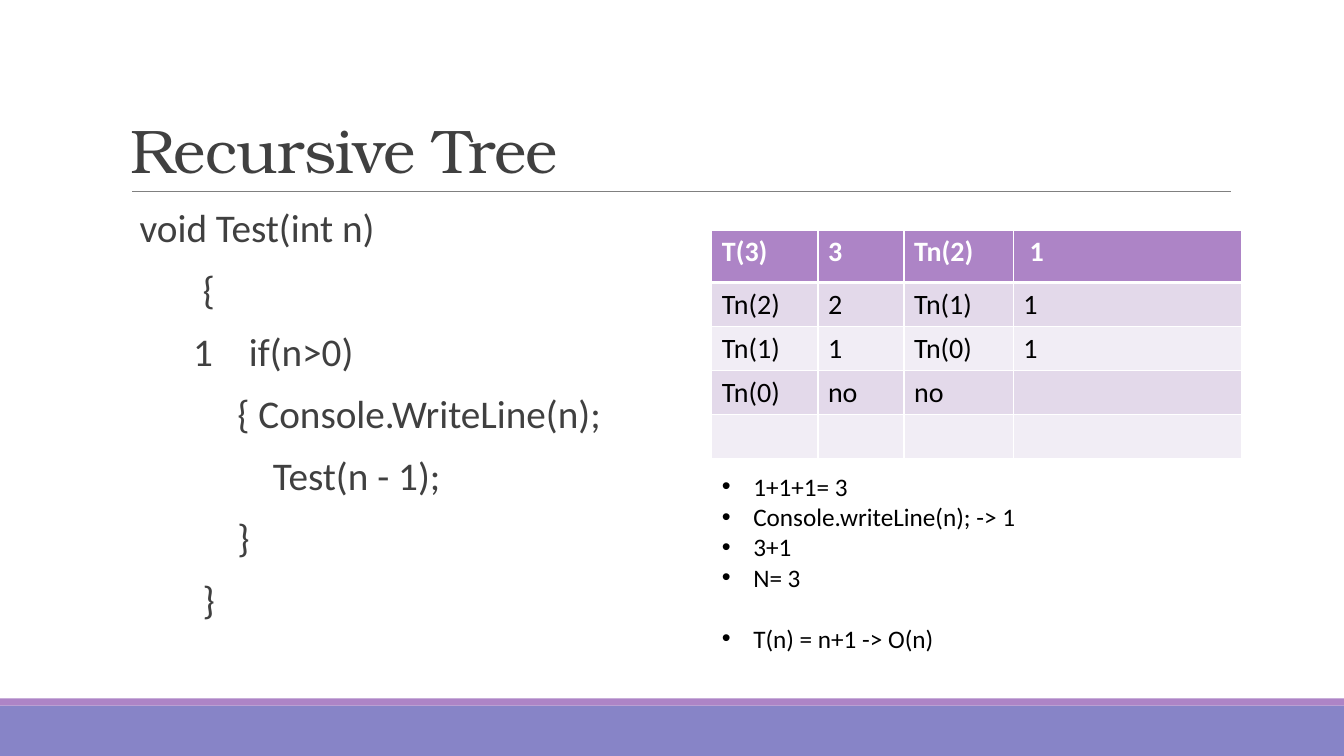
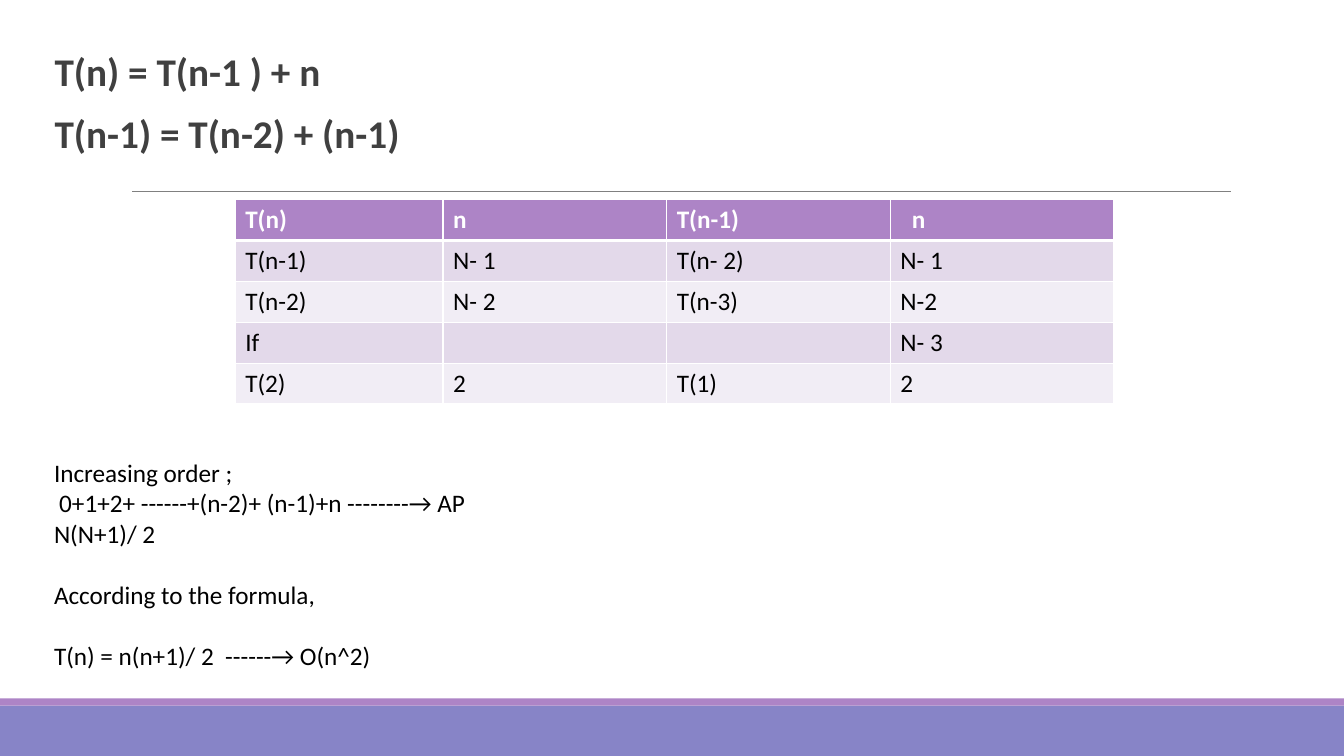
from lxml import etree
from pptx import Presentation
from pptx.dml.color import RGBColor
from pptx.enum.shapes import MSO_CONNECTOR as CONN, MSO_SHAPE as SHAPE
from pptx.enum.text import MSO_ANCHOR as ANCHOR, MSO_AUTO_SIZE as AUTO, PP_ALIGN as ALIGN
from pptx.oxml.ns import qn
from pptx.util import Emu, Pt

# Shared style
WHITE = RGBColor(0xFF, 0xFF, 0xFF)
BLACK = RGBColor(0, 0, 0)
INK = RGBColor(0x40, 0x40, 0x40)
GRAY = RGBColor(0x80, 0x80, 0x80)
BLUE = RGBColor(0x87, 0x84, 0xC7)
PURPLE = RGBColor(0xAD, 0x84, 0xC6)
ROW_TINTS = RGBColor(0xF1, 0xED, 0xF5), RGBColor(0xE3, 0xD9, 0xEA)
TITLE_FONT, BODY_FONT = "TeX Gyre Bonum", "Calibri"

SLIDE_W, SLIDE_H = 1280, 720
TITLE_ONLY, BLANK = 5, 6
LINE_GAP = 22  # points, one line of 18-point text


def px(n):
    return Emu(n * 9525)


def box(*lengths):
    return [px(n) for n in lengths]


def add_run(p, text, size, color, font=BODY_FONT, bold=False):
    r = p.add_run()
    r.text = text
    r.font.name, r.font.size, r.font.bold = font, Pt(size), bold
    r.font.color.rgb = color
    return r


def set_indent(p, left, hang=0):
    pPr = p._p.get_or_add_pPr()
    pPr.set("marL", str(px(left)))
    pPr.set("indent", str(px(-hang)))
    return pPr


# Bands and rule on every slide
def add_frame(s):
    for top, height, color in ((672, 48, BLUE), (665, 7, PURPLE)):
        band = s.shapes.add_shape(SHAPE.RECTANGLE, *box(0, top, SLIDE_W, height))
        band.shadow.inherit = False
        band.fill.solid()
        band.fill.fore_color.rgb = color
        band.line.fill.background()
    rule = s.shapes.add_connector(CONN.STRAIGHT, *box(126, 182, 1172, 182))
    rule.line.color.rgb = GRAY
    rule.line.width = Pt(0.5)
    etree.SubElement(rule._element.spPr, qn("a:effectLst"))


def add_slide(prs, layout):
    s = prs.slides.add_slide(prs.slide_layouts[layout])
    add_frame(s)
    return s


def set_title(s, text):
    sp = s.shapes.title
    sp.left, sp.top, sp.width, sp.height = box(115, 30, 1056, 152)
    tf = sp.text_frame
    tf.auto_size, tf.vertical_anchor = AUTO.NONE, ANCHOR.BOTTOM
    p = tf.paragraphs[0]
    p.alignment, p.line_spacing = ALIGN.LEFT, 0.85
    r = add_run(p, text, 44, INK, TITLE_FONT)
    r.font._element.set("spc", "-50")


def add_text_box(s, area, lines):
    """Add a text box and yield a paragraph for each line."""
    tf = s.shapes.add_textbox(*box(*area)).text_frame
    tf.word_wrap = True
    for i, line in enumerate(lines):
        yield (p := tf.add_paragraph() if i else tf.paragraphs[0]), line
        if i == 0:
            first = p
    first.alignment = ALIGN.LEFT


def add_body(s, area, lines, bold=False):
    """Large text; each line is (text, left indent, hanging indent)."""
    for p, (text, left, hang) in add_text_box(s, area, lines):
        set_indent(p, left, hang)
        p.line_spacing, p.space_before, p.space_after = 0.9, Pt(12), Pt(2)
        add_run(p, text, 28, INK, bold=bold)
    s.shapes[-1].text_frame.margin_left = s.shapes[-1].text_frame.margin_right = 0


def add_notes(s, area, lines, bulleted=False):
    """Small text; each line is (text, left indent, space before)."""
    for p, (text, left, before) in add_text_box(s, area, lines):
        pPr = set_indent(p, left, left if bulleted else 0)
        if bulleted:
            etree.SubElement(pPr, qn("a:buFont"), typeface="Arial")
            etree.SubElement(pPr, qn("a:buChar"), char="•")
        p.space_before = Pt(before)
        add_run(p, text, 18, BLACK)


def set_borders(cell, row):
    tcPr = cell._tc.get_or_add_tcPr()
    thick = {(0, "B"), (1, "T")}  # the line under the header
    for side in "LRTB":
        width = Pt(3 if (row, side) in thick else 1)
        ln = etree.SubElement(tcPr, qn(f"a:ln{side}"), w=str(width))
        fill = etree.SubElement(ln, qn("a:solidFill"))
        etree.SubElement(fill, qn("a:srgbClr"), val=str(WHITE))


def add_table(s, left, top, widths, heights, rows, size, last_head_indent):
    area = box(left, top, sum(widths), sum(heights))
    table = s.shapes.add_table(len(rows), len(widths), *area).table
    for col, width in zip(table.columns, widths):
        col.width = px(width)
    for i, (row, height) in enumerate(zip(rows, heights)):
        table.rows[i].height = px(height)
        for j, text in enumerate(row):
            cell = table.cell(i, j)
            set_borders(cell, i)
            cell.fill.solid()
            cell.fill.fore_color.rgb = ROW_TINTS[i % 2] if i else PURPLE
            if text:
                p = cell.text_frame.paragraphs[0]
                add_run(p, text, size, BLACK if i else WHITE, bold=i == 0)
    set_indent(table.cell(0, len(widths) - 1).text_frame.paragraphs[0], last_head_indent)


def build_recursive_tree(prs):
    s = add_slide(prs, TITLE_ONLY)
    set_title(s, "Recursive Tree")
    add_body(s, (115, 194, 540, 422), [
        ("void Test(int n)", 18, 0),
        ("{", 78, 0),
        ("1\tif(n>0)", 122, 53),
        ("{ Console.WriteLine(n);", 111, 0),
        ("Test(n - 1);", 145, 0),
        ("}", 111, 0),
        ("}", 78, 0),
    ])
    add_table(s, 678, 219, [101, 82, 104, 218], [50] + [42] * 4, [
        ("T(3)", "3", "Tn(2)", "1"),
        ("Tn(2)", "2", "Tn(1)", "1"),
        ("Tn(1)", "1", "Tn(0)", "1"),
        ("Tn(0)", "no", "no", ""),
        ("", "", "", ""),
    ], size=20, last_head_indent=6)
    add_notes(s, (678, 444, 302, 184), [
        ("1+1+1= 3", 30, 0),
        ("Console.writeLine(n); -> 1", 30, 0),
        ("3+1", 30, 0),
        ("N= 3", 30, 0),
        ("T(n) = n+1 -> O(n)", 30, LINE_GAP),
    ], bulleted=True)


def build_recurrence(prs):
    s = add_slide(prs, BLANK)
    add_body(s, (42, 45, 1129, 130), [
        ("T(n) = T(n-1 ) + n", 10, 0),
        ("T(n-1) = T(n-2) + (n-1)", 10, 0),
    ], bold=True)
    add_table(s, 224, 190, [198] + [213] * 3, [39] * 5, [
        ("T(n)", "n", "T(n-1)", "n"),
        ("T(n-1)", "N- 1", "T(n- 2)", "N- 1"),
        ("T(n-2)", "N- 2", "T(n-3)", "N-2"),
        ("If", "", "", "N- 3"),
        ("T(2)", "2", "T(1)", "2"),
    ], size=18, last_head_indent=11)
    add_notes(s, (42, 431, 765, 213), [
        ("Increasing order ;", 0, 0),
        ("0+1+2+ ------+(n-2)+ (n-1)+n --------→ AP", 5, 0),
        ("N(N+1)/ 2", 0, 0),
        ("According to the formula,", 0, LINE_GAP),
        ("T(n) = n(n+1)/ 2  ------→ O(n^2)", 0, LINE_GAP),
    ])


def main():
    prs = Presentation()
    prs.slide_width, prs.slide_height = box(SLIDE_W, SLIDE_H)
    build_recursive_tree(prs)
    build_recurrence(prs)
    prs.save("out.pptx")


if __name__ == "__main__":
    main()
